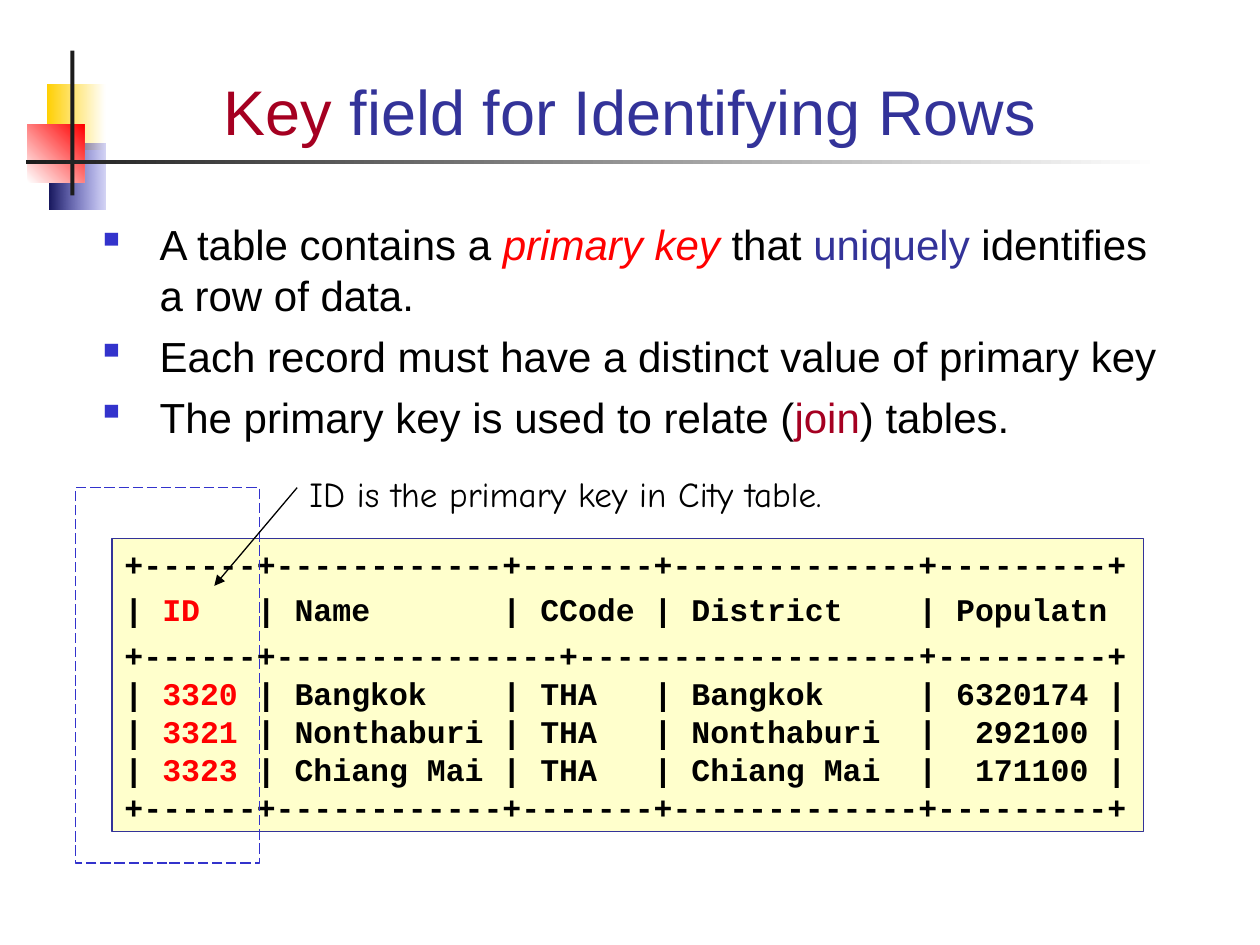
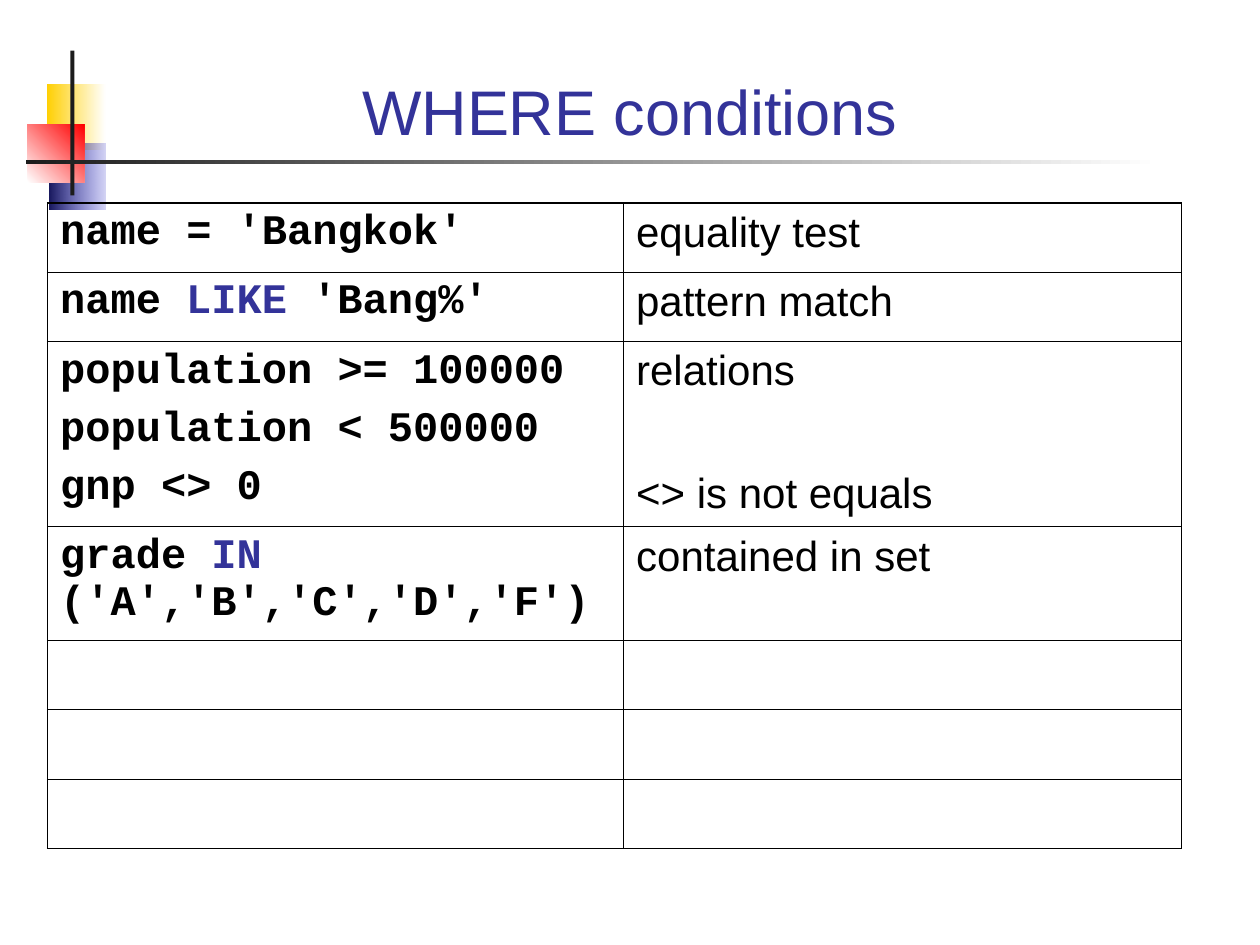
"""Build two database slides: the primary key of a table, and WHERE conditions."""
from dataclasses import dataclass, replace
from typing import NamedTuple

from lxml.etree import SubElement
from pptx import Presentation
from pptx.dml.color import RGBColor
from pptx.enum.dml import MSO_LINE
from pptx.enum.shapes import MSO_CONNECTOR, MSO_SHAPE
from pptx.enum.text import MSO_ANCHOR, MSO_AUTO_SIZE, PP_ALIGN
from pptx.oxml.ns import qn
from pptx.util import Cm, Pt

BLACK, CHARCOAL, WHITE = "000000", "1C1C1C", "FFFFFF"
INDIGO, BLUE, RED, CRIMSON = "333399", "3333CC", "FF0000", "A50021"
CREAM, GOLD, NAVY = "FFFFCC", "FFCF01", "18185E"


class Area(NamedTuple):
    left: float
    top: float
    width: float
    height: float


class Span(NamedTuple):
    text: str
    color: str | None = None
    italic: bool = False
    font: str | None = None


class Line(NamedTuple):
    spans: tuple[Span, ...]
    space_before: float | None = None


class Band(NamedTuple):
    area: Area
    colors: tuple[str, ...]
    angle: float = 0
    end_opacity: int = 100


@dataclass(frozen=True)
class TextStyle:
    font: str
    size: float
    color: str = BLACK
    bold: bool = False
    space_before: float = 0
    line_height: float | None = None
    align: PP_ALIGN = PP_ALIGN.LEFT
    bulleted: bool = False


TITLE = TextStyle("Arial", 36, INDIGO, align=PP_ALIGN.CENTER)
PROSE = TextStyle("Arial", 24, space_before=6)
BULLETS = replace(PROSE, line_height=28.8, bulleted=True)
CODE = TextStyle("Courier New", 24, bold=True, space_before=6)
LISTING = replace(CODE, size=18, space_before=0, line_height=21.7)
CALLOUT = TextStyle("Comic Neue", 20)

TITLE_AREA = Area(1.7, 0.71, 22, 2.41)
BANDS = (
    Band(Area(0.94, 1.7, 1.19, 1.32), (GOLD, WHITE)),
    Band(Area(0.99, 2.9, 1.14, 1.32), (NAVY, BLUE), end_opacity=20),
    Band(Area(0.56, 2.51, 1.14, 1.17), (WHITE, RED), angle=45),
    Band(Area(1.42, 1.02, 0.08, 2.92), (CHARCOAL,)),
    Band(Area(0.53, 3.23, 22.86, 0.08), (CHARCOAL, WHITE)),
)

KEY_POINTS = (
    Line((Span("A table contains a "), Span("primary key", RED, True), Span(" that "),
          Span("uniquely", INDIGO), Span(" identifies a row of data."))),
    Line((Span("Each record must have a distinct value of primary key"),)),
    Line((Span("The primary key is used to relate ("), Span("join", CRIMSON), Span(") tables."))),
)
CITIES = (("3320", "Bangkok", 6320174), ("3321", "Nonthaburi", 292100), ("3323", "Chiang Mai", 171100))
RULE = Line((Span("+------+------------+-------+-------------+---------+"),))
CITY_LISTING = (
    RULE,
    Line((Span("| "), Span("ID", RED), Span("   | Name       | CCode | District    | Populatn")), 4.5),
    Line((Span("+------+---------------+------------------"),
          Span("+", font="Noto Sans Mono"), Span("---------+")), 4.5),
    *(Line((Span("| "), Span(key, RED),
            Span(f" | {name:<10} | THA   | {name:<11} | {population:>7} |")))
      for key, name, population in CITIES),
    RULE,
)

CONDITIONS = (
    ((Line((Span("name = 'Bangkok'"),)),), (Line((Span("equality test"),)),)),
    ((Line((Span("name "), Span("LIKE", INDIGO), Span(" 'Bang%'"))),),
     (Line((Span("pattern match"),)),)),
    (tuple(Line((Span(text),)) for text in
           ("population >= 100000", "population < 500000", "gnp <> 0")),
     (Line((Span("relations"),)), Line((Span("<> is not equals"),), 43.5))),
    ((Line((Span("grade "), Span("IN", INDIGO), Span(" ('A','B','C','D','F')"))),),
     (Line((Span("contained in set"),)),)),
    ((), ()),
    ((), ()),
    ((), ()),
)
COLUMN_WIDTHS = (11.61, 11.25)
SHORT_ROW = 1.4
ROW_HEIGHTS = (SHORT_ROW, SHORT_ROW, 3.73, 2.29, SHORT_ROW, SHORT_ROW, SHORT_ROW)


def rgb(value: str) -> RGBColor:
    """Turn a hex string into a colour."""
    return RGBColor.from_string(value)


def lengths(area: Area) -> tuple:
    """Give an area's four values as lengths."""
    return tuple(Cm(value) for value in area)


def add_bullet(paragraph) -> None:
    """Give a paragraph a hanging square bullet."""
    properties = paragraph._p.get_or_add_pPr()
    properties.set("marL", str(Cm(1.27)))
    properties.set("indent", str(-Cm(1.27)))
    color = SubElement(properties, qn("a:buClr"))
    SubElement(color, qn("a:srgbClr"), val=BLUE)
    SubElement(properties, qn("a:buSzPct"), val="95000")
    SubElement(properties, qn("a:buChar"), char="▪")


def write(frame, lines: tuple[Line, ...], style: TextStyle) -> None:
    """Fill a text frame with styled lines."""
    for index, line in enumerate(lines):
        paragraph = frame.paragraphs[0] if index == 0 else frame.add_paragraph()
        paragraph.alignment = style.align
        gap = style.space_before if line.space_before is None else line.space_before
        paragraph.space_before = Pt(gap if index else 0)
        if style.line_height:
            paragraph.line_spacing = Pt(style.line_height)
        if style.bulleted:
            add_bullet(paragraph)
        paragraph.font.name = style.font
        paragraph.font.size = Pt(style.size)
        paragraph.font.bold = style.bold
        paragraph.font.color.rgb = rgb(style.color)
        for span in line.spans:
            run = paragraph.add_run()
            run.text = span.text
            if span.color:
                run.font.color.rgb = rgb(span.color)
            if span.italic:
                run.font.italic = True
            if span.font:
                run.font.name = span.font


def add_box(page, area: Area, fill: str | None = None, outline: str | None = None):
    """Add a plain rectangle."""
    box = page.shapes.add_shape(MSO_SHAPE.RECTANGLE, *lengths(area))
    box.shadow.inherit = False
    if fill:
        box.fill.solid()
        box.fill.fore_color.rgb = rgb(fill)
    else:
        box.fill.background()
    if outline:
        box.line.color.rgb = rgb(outline)
        box.line.width = Pt(0.75)
    else:
        box.line.fill.background()
    return box


def add_band(page, band: Band) -> None:
    """Add one solid or gradient piece of the corner motif."""
    box = add_box(page, band.area, band.colors[0])
    if len(band.colors) == 1:
        return
    box.fill.gradient()
    box.fill.gradient_angle = band.angle
    for stop, color, position in zip(box.fill.gradient_stops, band.colors, (0, 1)):
        stop.color.rgb = rgb(color)
        stop.position = position
    if band.end_opacity < 100:
        end_color = list(box._element.spPr.iter(qn("a:srgbClr")))[-1]
        SubElement(end_color, qn("a:alpha"), val=str(band.end_opacity * 1000))


def add_text(page, area: Area, lines: tuple[Line, ...], style: TextStyle) -> None:
    """Add a wrapping text box."""
    box = page.shapes.add_textbox(*lengths(area))
    box.text_frame.word_wrap = True
    write(box.text_frame, lines, style)


def add_arrow(page, start: tuple[float, float], end: tuple[float, float]) -> None:
    """Add a thin black arrow."""
    arrow = page.shapes.add_connector(
        MSO_CONNECTOR.STRAIGHT, *(Cm(value) for value in start + end))
    arrow.line.color.rgb = rgb(BLACK)
    arrow.line.width = Pt(0.75)
    properties = arrow._element.spPr
    SubElement(properties.find(qn("a:ln")), qn("a:tailEnd"), type="triangle")
    SubElement(properties, qn("a:effectLst"))


def add_page(deck, *title: Span):
    """Add a titled slide with the corner motif."""
    page = deck.slides.add_slide(deck.slide_layouts[5])
    for band in BANDS:
        add_band(page, band)
    heading = page.shapes.title
    heading.left, heading.top, heading.width, heading.height = lengths(TITLE_AREA)
    heading.text_frame.vertical_anchor = MSO_ANCHOR.BOTTOM
    heading.text_frame.auto_size = MSO_AUTO_SIZE.NONE
    write(heading.text_frame, (Line(title),), TITLE)
    return page


def set_borders(cell, edges: dict[str, bool]) -> None:
    """Draw a cell's borders, heavier on the outer edges."""
    properties = cell._tc.get_or_add_tcPr()
    for side, outer in edges.items():
        width = Pt(1.08 if outer else 0.45)
        border = SubElement(properties, qn(f"a:ln{side}"), w=str(width))
        fill = SubElement(border, qn("a:solidFill"))
        SubElement(fill, qn("a:srgbClr"), val=BLACK)


def add_conditions(page) -> None:
    """Add the table of conditions and their meanings."""
    area = Area(0.96, 4.09, sum(COLUMN_WIDTHS), sum(ROW_HEIGHTS))
    table = page.shapes.add_table(len(ROW_HEIGHTS), len(COLUMN_WIDTHS), *lengths(area)).table
    table.first_row = table.horz_banding = False
    for column, width in zip(table.columns, COLUMN_WIDTHS):
        column.width = Cm(width)
    for row, height in zip(table.rows, ROW_HEIGHTS):
        row.height = Cm(height)
    for row_index, condition in enumerate(CONDITIONS):
        for column_index, (lines, style) in enumerate(zip(condition, (CODE, PROSE))):
            cell = table.cell(row_index, column_index)
            set_borders(cell, {
                "L": column_index == 0,
                "R": column_index == len(COLUMN_WIDTHS) - 1,
                "T": row_index == 0,
                "B": row_index == len(CONDITIONS) - 1,
            })
            cell.fill.background()
            write(cell.text_frame, lines, style)


def build_key_page(deck) -> None:
    """Build the slide on the primary key."""
    page = add_page(deck, Span("Key", CRIMSON), Span(" field for Identifying Rows"))
    add_text(page, Area(1.7, 4.29, 22, 7.21), KEY_POINTS, BULLETS)
    listing = add_box(page, Area(2.26, 10.85, 20.8, 5.92), CREAM, INDIGO)
    listing.text_frame.vertical_anchor = MSO_ANCHOR.TOP
    write(listing.text_frame, CITY_LISTING, LISTING)
    key_column = add_box(page, Area(1.52, 9.83, 3.71, 7.57), outline=BLUE)
    key_column.line.dash_style = MSO_LINE.LONG_DASH
    add_text(page, Area(5.99, 9.4, 12.7, 1.12),
             (Line((Span("ID is the primary key in City table."),)),), CALLOUT)
    add_arrow(page, (5.99, 9.83), (4.32, 11.81))


def main() -> None:
    """Build and save the deck."""
    deck = Presentation()
    deck.slide_width, deck.slide_height = Cm(25.4), Cm(19.05)
    build_key_page(deck)
    add_conditions(add_page(deck, Span("WHERE conditions")))
    deck.save("out.pptx")


if __name__ == "__main__":
    main()
